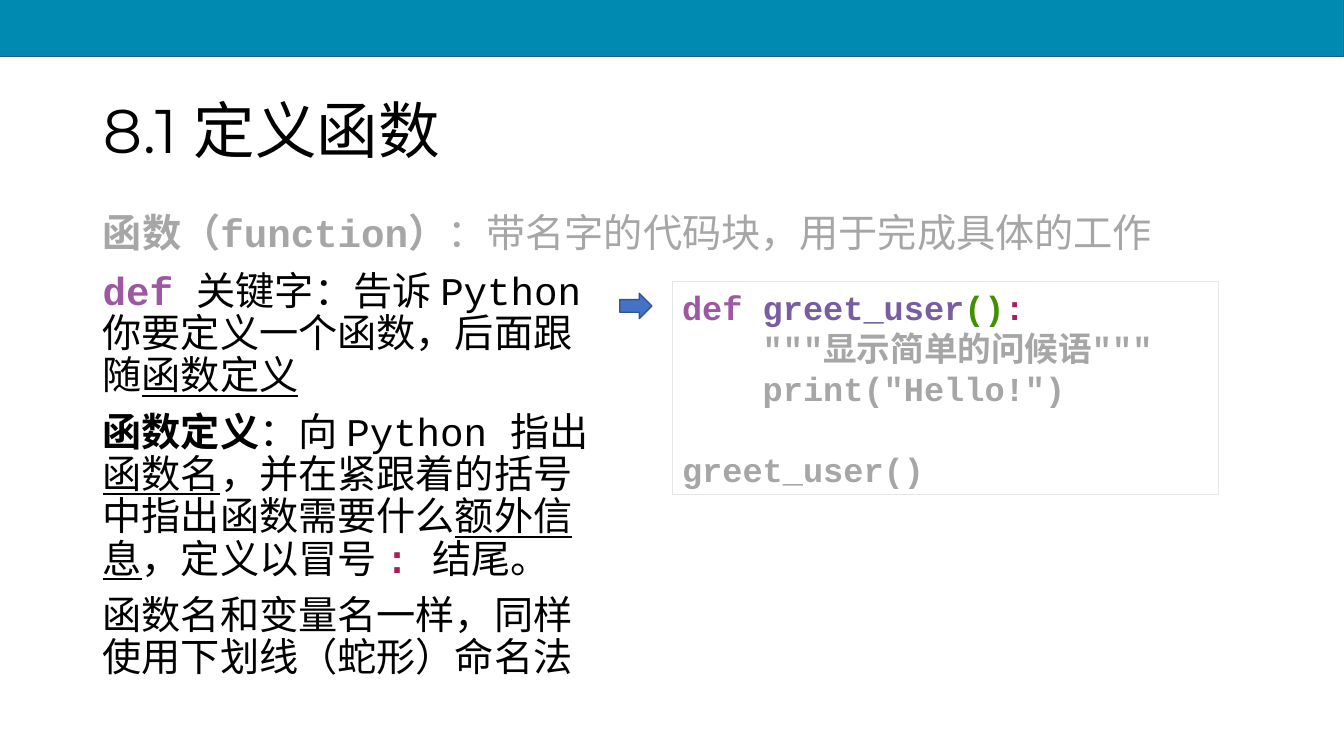
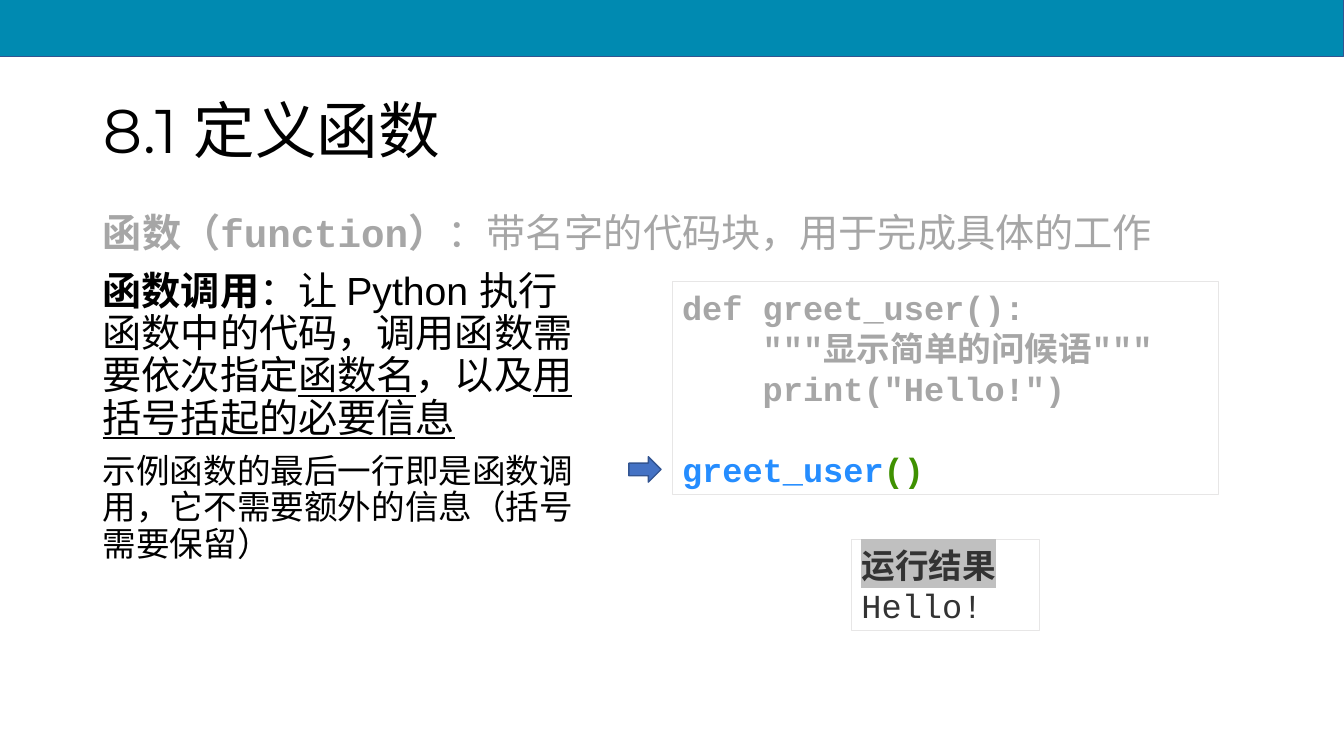
from copy import deepcopy
from dataclasses import dataclass
from functools import partial
from typing import NamedTuple

from lxml.etree import SubElement
from pptx import Presentation
from pptx.dml.color import RGBColor
from pptx.enum.lang import MSO_LANGUAGE_ID as Lang
from pptx.enum.shapes import MSO_SHAPE as Shape
from pptx.enum.text import MSO_ANCHOR as Anchor, MSO_AUTO_SIZE as AutoSize, PP_ALIGN as Align
from pptx.oxml.ns import qn
from pptx.util import Cm, Pt


@dataclass(frozen=True)
class Theme:
    band: str = "008AB1"
    outline: str = "325491"
    arrow: str = "4472C4"
    frame: str = "E7E6E6"
    ink: str = "000000"
    muted: str = "A6A6A6"
    keyword: str = "9E58A3"
    name: str = "795DA3"
    bracket: str = "3F9101"
    colon: str = "A71D5D"
    call: str = "258DFF"
    result: str = "333333"
    marker: str = "C0C0C0"
    title_font: str = "Montserrat"
    text_font: str = "Calibri"
    code_font: str = "Courier New"
    latin_font: str = "Arial"
    title_size: int = 44
    body_size: int = 28
    code_size: int = 24


T = Theme()


class Box(NamedTuple):
    left: float
    top: float
    width: float
    height: float

    def lengths(self) -> list[Cm]:
        return [Cm(v) for v in self]


@dataclass(frozen=True)
class Run:
    text: str
    color: str = T.ink
    font: str = T.text_font
    size: int = T.body_size
    bold: bool = False
    underline: bool = False
    highlight: str = ""


Para = list[Run]
Bold = partial(Run, bold=True)
Under = partial(Run, underline=True)
Mono = partial(Run, font=T.code_font)
Token = partial(Mono, bold=True)
Code = partial(Token, size=T.code_size)


class Lesson(NamedTuple):
    notes: list[Para]
    code: Para
    arrow: Box
    result: list[Para]


BAND = Box(-0.05, -0.05, 33.91, 1.47)
TITLE = Box(2.34, 1.96, 29.21, 2.79)
BODY = Box(2.34, 5.26, 29.21, 12.09)
NOTES = Box(2.34, 6.71, 12.8, 11.23)
CODE = Box(16.94, 7.09, 13.77, 5.38)
RESULT = Box(21.46, 13.59, 4.75, 2.31)

HEADING = "8.1 定义函数"
DEFINITION = [
    Bold("函数（", T.muted), Token("function", T.muted), Bold("）", T.muted),
    Run("：带名字的代码块，用于完成具体的工作", T.muted),
]
FUNCTION_BODY = '    """显示简单的问候语"""\n    print("Hello!")\n\n'

LESSONS = [
    Lesson(
        notes=[
            [Token("def ", T.keyword), Run("关键字：告诉 "), Mono("Python "),
             Run("你要定义一个函数，后面跟随"), Under("函数定义")],
            [Bold("函数定义"), Run("：向 "), Mono("Python "), Run("指出"), Under("函数名"),
             Run("，并在紧跟着的括号中指出函数需要什么"), Under("额外信息"),
             Run("，定义以冒号 "), Token(": ", T.colon), Run("结尾。")],
            [Run("函数名和变量名一样，同样使用下划线（蛇形）命名法")],
        ],
        code=[
            Code("def ", T.keyword), Code("greet_user", T.name), Code("()", T.bracket),
            Code(":\n", T.colon), Code(FUNCTION_BODY + "greet_user()", T.muted),
        ],
        arrow=Box(15.62, 7.39, 0.81, 0.64),
        result=[],
    ),
    Lesson(
        notes=[
            [Bold("函数调用"), Run("：让 "), Run("Python ", font=T.latin_font),
             Run("执行函数中的代码，调用函数需要依次指定"), Under("函数名"),
             Run("，以及"), Under("用括号括起的必要信息")],
            [Run("示例函数的最后一行即是函数调用，它不需要额外的信息（括号需要保留）",
                 size=T.code_size)],
        ],
        code=[
            Code("def greet_user():\n" + FUNCTION_BODY, T.muted),
            Code("greet_user", T.call), Code("()", T.bracket),
        ],
        arrow=Box(15.85, 11.51, 0.81, 0.64),
        result=[
            [Code("运行结果", T.result, highlight=T.marker)],
            [Mono("Hello!", T.result, size=T.code_size)],
        ],
    ),
]


def rgb(color: str) -> RGBColor:
    return RGBColor.from_string(color)


def add_run(p, run: Run) -> None:
    """Add a run; each newline in it becomes a line break of the same size."""
    for i, line in enumerate(run.text.split("\n")):
        if i:
            p._p.add_br().append(deepcopy(r.font._element))
        if not line:
            continue
        r = p.add_run()
        r.text = line
        font = r.font
        font.size, font.bold, font.underline = Pt(run.size), run.bold, run.underline
        font.language_id = Lang.SIMPLIFIED_CHINESE
        font.color.rgb = rgb(run.color)
        if run.highlight:
            mark = SubElement(font._element, qn("a:highlight"))
            SubElement(mark, qn("a:srgbClr"), val=run.highlight)
        font.name = run.font


def write(tf, paras: list[Para], line_spacing: float = 1.0, gap: float = 0,
          auto_size: AutoSize = AutoSize.NONE) -> None:
    tf.word_wrap = True
    tf.auto_size = auto_size
    for i, runs in enumerate(paras):
        p = tf.add_paragraph() if i else tf.paragraphs[0]
        p.alignment = Align.LEFT
        p.line_spacing = line_spacing
        p.space_before = Pt(gap if i else 0)
        for run in runs:
            add_run(p, run)


def fill_placeholder(sp, box: Box, runs: Para) -> None:
    sp.left, sp.top, sp.width, sp.height = box.lengths()
    write(sp.text_frame, [runs], line_spacing=0.9)


def add_shape(s, kind: Shape, box: Box, line: str, width: float, fill: str = ""):
    sp = s.shapes.add_shape(kind, *box.lengths())
    sp.shadow.inherit = False
    if fill:
        sp.fill.solid()
        sp.fill.fore_color.rgb = rgb(fill)
    else:
        sp.fill.background()
    sp.line.color.rgb = rgb(line)
    sp.line.width = Pt(width)
    return sp


def add_frame(s, box: Box, paras: list[Para]) -> None:
    sp = add_shape(s, Shape.RECTANGLE, box, T.frame, 0.75)
    sp.text_frame.vertical_anchor = Anchor.MIDDLE
    write(sp.text_frame, paras, auto_size=AutoSize.SHAPE_TO_FIT_TEXT)


def add_master_band(prs, s) -> None:
    """Draw the band on a slide, then move it behind everything on the master."""
    band = add_shape(s, Shape.RECTANGLE, BAND, T.outline, 1, T.band)
    prs.slide_master.shapes.element.insert(2, band.element)


def add_lesson(s, lesson: Lesson) -> None:
    title, body = s.placeholders
    fill_placeholder(title, TITLE, [Run(HEADING, font=T.title_font, size=T.title_size)])
    title.text_frame.vertical_anchor = Anchor.MIDDLE
    fill_placeholder(body, BODY, DEFINITION)
    pPr = body.text_frame.paragraphs[0]._p.get_or_add_pPr()
    pPr.set("marL", "0")
    pPr.set("indent", "0")
    SubElement(pPr, qn("a:buNone"))

    add_shape(s, Shape.RIGHT_ARROW, lesson.arrow, T.outline, 1, T.arrow)
    add_frame(s, CODE, [lesson.code])
    notes = s.shapes.add_textbox(*NOTES.lengths())
    write(notes.text_frame, lesson.notes, line_spacing=0.9, gap=10)
    if lesson.result:
        add_frame(s, RESULT, lesson.result)


def main() -> None:
    prs = Presentation()
    prs.slide_width, prs.slide_height = Cm(33.87), Cm(19.05)
    for i, lesson in enumerate(LESSONS):
        s = prs.slides.add_slide(prs.slide_layouts[1])
        if i == 0:
            add_master_band(prs, s)
        add_lesson(s, lesson)
    prs.save("out.pptx")


if __name__ == "__main__":
    main()
